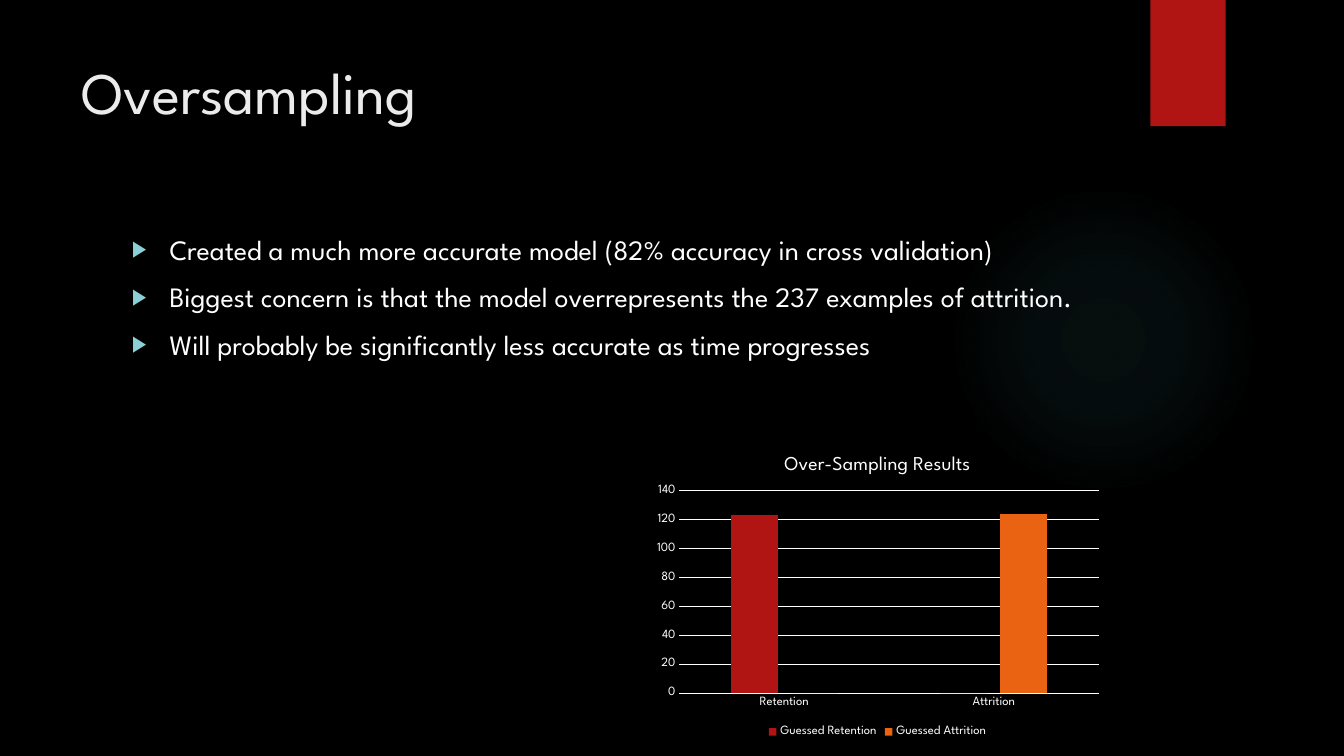
from dataclasses import dataclass

from lxml.etree import SubElement
from pptx import Presentation
from pptx.chart.data import CategoryChartData
from pptx.dml.color import RGBColor
from pptx.enum.chart import XL_CHART_TYPE, XL_LEGEND_POSITION, XL_TICK_MARK
from pptx.enum.shapes import MSO_SHAPE
from pptx.enum.text import MSO_ANCHOR, MSO_AUTO_SIZE, PP_ALIGN
from pptx.oxml import parse_xml
from pptx.oxml.ns import nsdecls, qn
from pptx.util import Cm, Pt


@dataclass(frozen=True)
class Theme:
    font: str = "League Spartan"
    background: str = "000000"
    text: str = "FFFFFF"
    heading: str = "EBEBEB"
    red: str = "B01513"
    orange: str = "EA6312"
    glow: str = "50B9C1"
    bullet: str = "8AD0D6"
    title_size: int = 42
    body_size: int = 20
    chart_title_size: int = 14
    chart_size: int = 9


def color(value):
    return RGBColor.from_string(value)


def format_font(font, name, size, shade):
    font.name = name
    font.size = Pt(size)
    font.bold = False
    font.color.rgb = color(shade)


def write_text(para, text, *, name, size, shade, before=0):
    para.alignment = PP_ALIGN.LEFT
    para.space_before = Pt(before)
    span = para.add_run()
    span.text = text
    format_font(span.font, name, size, shade)


class SlideBuilder:
    def __init__(self, deck, theme):
        self.theme = theme
        self.page = deck.slides.add_slide(deck.slide_layouts[1])
        fill = self.page.background.fill
        fill.solid()
        fill.fore_color.rgb = color(theme.background)

    def shape(self, kind, place, shade):
        box = self.page.shapes.add_shape(kind, *map(Cm, place))
        box.shadow.inherit = False
        box.line.fill.background()
        box.fill.solid()
        box.fill.fore_color.rgb = color(shade)
        return box

    def glow(self, place, stops):
        box = self.shape(MSO_SHAPE.OVAL, place, self.theme.glow)
        steps = "".join(
            f'<a:gs pos="{position * 1000}"><a:srgbClr val="{self.theme.glow}">'
            f'<a:alpha val="{alpha * 1000}"/></a:srgbClr></a:gs>'
            for position, alpha in stops
        )
        gradient = parse_xml(
            f'<a:gradFill {nsdecls("a")}><a:gsLst>{steps}</a:gsLst><a:path path="circle">'
            '<a:fillToRect l="50000" t="50000" r="50000" b="50000"/></a:path></a:gradFill>'
        )
        properties = box.element.spPr
        properties.replace(properties.find(qn("a:solidFill")), gradient)

    def placeholder(self, index, place):
        box = self.page.placeholders[index]
        box.left, box.top, box.width, box.height = map(Cm, place)
        box.element.getparent().append(box.element)
        frame = box.text_frame
        frame.word_wrap = True
        frame.auto_size = MSO_AUTO_SIZE.NONE
        frame.vertical_anchor = MSO_ANCHOR.TOP
        return frame

    def title(self, text, place):
        theme = self.theme
        frame = self.placeholder(0, place)
        write_text(frame.paragraphs[0], text, name=theme.font,
                   size=theme.title_size, shade=theme.heading)

    def bullets(self, lines, place):
        theme = self.theme
        frame = self.placeholder(1, place)
        for number, line in enumerate(lines):
            para = frame.add_paragraph() if number else frame.paragraphs[0]
            write_text(para, line, name=theme.font, size=theme.body_size,
                       shade=theme.text, before=10)
            properties = para._p.get_or_add_pPr()
            properties.set("marL", str(Cm(0.95)))
            properties.set("indent", str(-Cm(0.95)))
            shade = SubElement(properties, qn("a:buClr"))
            SubElement(shade, qn("a:srgbClr"), val=theme.bullet)
            SubElement(properties, qn("a:buSzPct"), val="80000")
            SubElement(properties, qn("a:buFont"), typeface="Arial")
            SubElement(properties, qn("a:buChar"), char="▶")

    def column_chart(self, heading, categories, series, place, plot_area):
        theme = self.theme
        data = CategoryChartData()
        data.categories = categories
        for name, values, shade in series:
            data.add_series(name, values)
        chart = self.page.shapes.add_chart(
            XL_CHART_TYPE.COLUMN_CLUSTERED, *map(Cm, place), data).chart
        format_font(chart.font, theme.font, theme.chart_size, theme.text)
        chart.has_title = True
        write_text(chart.chart_title.text_frame.paragraphs[0], heading, name=theme.font,
                   size=theme.chart_title_size, shade=theme.text)
        chart.chart_title.include_in_layout = False
        chart.has_legend = True
        chart.legend.position = XL_LEGEND_POSITION.BOTTOM
        chart.legend.include_in_layout = False
        format_font(chart.legend.font, theme.font, theme.chart_size, theme.text)

        plot = chart.plots[0]
        plot.gap_width = 219
        plot.overlap = -27
        plot.vary_by_categories = False
        for columns, (name, values, shade) in zip(plot.series, series):
            columns.format.fill.solid()
            columns.format.fill.fore_color.rgb = color(shade)

        scale = chart.value_axis
        scale.minimum_scale, scale.maximum_scale, scale.major_unit = 0, 140, 20
        scale.has_major_gridlines = True
        for axis in (chart.category_axis, scale):
            axis.major_tick_mark = axis.minor_tick_mark = XL_TICK_MARK.NONE
            format_font(axis.tick_labels.font, theme.font, theme.chart_size, theme.text)
        scale.format.line.fill.background()
        for line in (chart.category_axis.format.line, scale.major_gridlines.format.line):
            line.color.rgb = color(theme.text)
            line.width = Pt(0.75)
        self.arrange_plot(chart, plot_area)

    def arrange_plot(self, chart, plot_area):
        area = chart.element.find(f'{qn("c:chart")}/{qn("c:plotArea")}')
        for layout in area.findall(qn("c:layout")):
            area.remove(layout)
        sizes = "".join(f'<c:{key} val="{value}"/>' for key, value in zip("xywh", plot_area))
        area.insert(0, parse_xml(
            f'<c:layout {nsdecls("c")}><c:manualLayout><c:layoutTarget val="inner"/>'
            f'<c:xMode val="edge"/><c:yMode val="edge"/>{sizes}</c:manualLayout></c:layout>'
        ))


def main():
    deck = Presentation()
    deck.slide_width, deck.slide_height = Cm(33.87), Cm(19.05)
    theme = Theme()
    slide = SlideBuilder(deck, theme)
    slide.glow((23.9, 4.65, 7.82, 7.82), [(0, 7), (36, 6), (69, 0)])
    slide.shape(MSO_SHAPE.RECTANGLE, (28.99, 0, 1.9, 3.18), theme.red)
    slide.title("Oversampling", (1.8, 1.27, 26.14, 3.89))
    slide.bullets([
        "Created a much more accurate model (82% accuracy in cross validation)",
        "Biggest concern is that the model overrepresents the 237 examples of attrition.",
        "Will probably be significantly less accurate as time progresses",
    ], (3.07, 5.72, 24.84, 11.66))
    slide.column_chart(
        "Over-Sampling Results",
        ["Retention", "Attrition"],
        [("Guessed Retention", (123, 0), theme.red),
         ("Guessed Attrition", (0, 124), theme.orange)],
        (16.31, 11.07, 11.61, 7.62),
        (0.07, 0.17, 0.91, 0.67),
    )
    deck.save("out.pptx")


if __name__ == "__main__":
    main()
